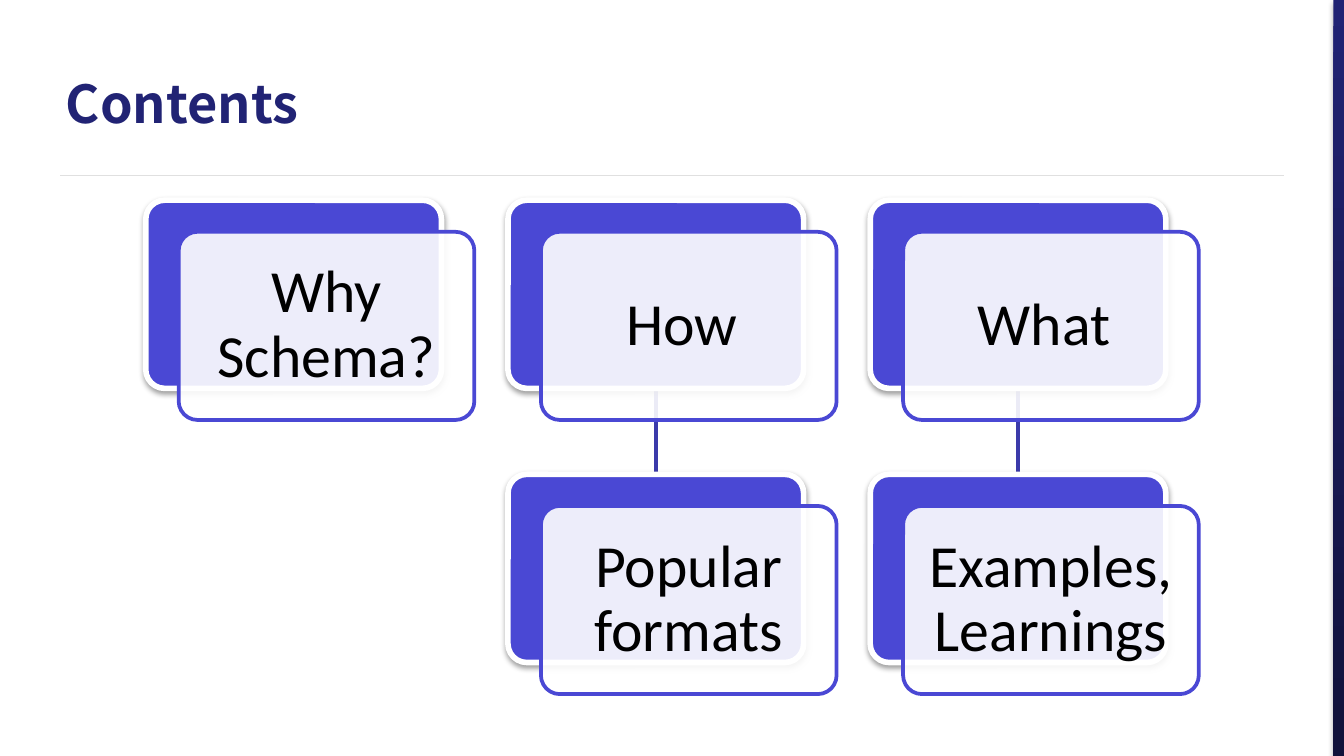
from lxml import etree
from pptx import Presentation
from pptx import util as u
from pptx.dml import color
from pptx.enum import shapes as es, text as et
from pptx.oxml import ns

PX = 4572  # 200 px to the inch
NAVY, BLUE, WHITE = "212374", "4A48D4", "FFFFFF"
CARDS = [  # column, row, label; each column runs from top to bottom
    (0, 0, "Why Schema?"),
    (1, 0, "How "),
    (1, 1, "Popular formats"),
    (2, 0, "What "),
    (2, 1, "Examples,\vLearnings"),
]


def px(*vals):
    return [u.Emu(v * PX) for v in vals]


def rgb(code):
    return color.RGBColor.from_string(code)


def style(obj, **vals):
    for key, val in vals.items():
        setattr(obj, key, val)


def add(parent, tag, **attrs):
    node = etree.SubElement(parent, ns.qn(tag))
    for key, val in attrs.items():
        node.set(key, str(val))
    return node


def paint(line, code, width):
    line.color.rgb = rgb(code)
    line.width = u.Pt(width)


def shade(shape, alpha, dist):
    """Give the shape a soft shadow straight below it."""
    shape.shadow.inherit = False
    effects = shape.element.spPr.find(ns.qn("a:effectLst"))
    glow = add(effects, "a:outerShdw", blurRad=u.Pt(3.1), dist=u.Pt(dist),
               dir=5400000, algn="ctr", rotWithShape=0)
    add(add(glow, "a:srgbClr", val="000000"), "a:alpha", val=alpha * 1000)


def wire(slide, ends, code, width):
    line = slide.shapes.add_connector(es.MSO_CONNECTOR.STRAIGHT, *px(*ends))
    paint(line.line, code, width)
    add(line.element.spPr, "a:effectLst")
    return line


def write(shape, label, inset, align, space, ink, **font):
    frame = shape.text_frame
    frame.text = label
    pad = px(inset)[0]
    style(frame, word_wrap=True, auto_size=et.MSO_AUTO_SIZE.NONE,
          vertical_anchor=et.MSO_ANCHOR.MIDDLE, margin_left=pad,
          margin_right=pad, margin_top=pad, margin_bottom=pad)
    para = frame.paragraphs[0]
    style(para, alignment=align, line_spacing=space)
    for run in para.runs:
        style(run.font, **font)
        run.font.color.rgb = rgb(ink)


def plate(slide, x, y, w, h, fill, edge, width):
    shape = slide.shapes.add_shape(es.MSO_SHAPE.ROUNDED_RECTANGLE,
                                   *px(x, y, w, h))
    shape.adjustments[0] = 0.1
    shape.fill.solid()
    shape.fill.fore_color.rgb = rgb(fill)
    paint(shape.line, edge, width)
    shape.shadow.inherit = False
    return shape


def frame(slide, w, h):
    """Rule under the title and the band at the right edge."""
    wire(slide, (w - 90, 261, 90, 261), "E0E0E0", 0.75)
    band = slide.shapes.add_shape(es.MSO_SHAPE.RECTANGLE,
                                  *px(w - 16, 0, 16, h))
    band.fill.gradient()
    band.fill.gradient_angle = 270
    for stop, code, pos in zip(band.fill.gradient_stops,
                               (NAVY, "11123A"), (0, 1)):
        stop.color.rgb = rgb(code)
        stop.position = pos
    band.line.fill.background()
    shade(band, 35, 1.8)


def head(slide, x, y, w, h):
    title = slide.shapes.title
    box = zip(("left", "top", "width", "height"), px(x, y, w, h))
    style(title, **dict(box))
    write(title, "Contents", 0, et.PP_ALIGN.LEFT, 1.0, NAVY,
          size=u.Pt(28), name="Noto Sans CJK SC", bold=True)


def card(slide, x, y, w, h, label):
    """Blue plate with a translucent label plate shifted over it."""
    back = plate(slide, x, y, w, h, BLUE, WHITE, 3)
    shade(back, 38, 1.6)
    front = plate(slide, x + 49, y + 47, w, h, WHITE, BLUE, 2)
    tint = front.element.spPr.find(ns.qn("a:solidFill"))[0]
    add(tint, "a:alpha", val=90000)
    write(front, label, 26, et.PP_ALIGN.CENTER, 0.9, "000000",
          size=u.Pt(32), name="Calibri")
    return back


def tree(slide, x, y, w, h):
    """Three columns and two rows of cards, joined down each column."""
    wide, high = 440, 280
    step, drop = (w - wide) // 2, h - high
    backs = {}
    for col, row, label in CARDS:
        left, top = x + col * step, y + row * drop
        back = card(slide, left, top, wide, high, label)
        backs[col, row] = back
        if row:
            above = backs[col, row - 1]
            mid = left + wide // 2
            link = wire(slide, (mid, top - drop + high, mid, top),
                        "3B3AAA", 2)
            link.begin_connect(above, 2)
            link.end_connect(back, 0)
            above.element.addprevious(link.element)  # behind the cards


def main():
    deck = Presentation()
    wide, high = 2000, 1125
    deck.slide_width, deck.slide_height = px(wide, high)
    slide = deck.slides.add_slide(deck.slide_layouts[5])
    frame(slide, wide, high)
    head(slide, 98, 28, 1292, 250)
    tree(slide, 217, 298, 1518, 688)
    deck.save("out.pptx")


if __name__ == "__main__":
    main()
